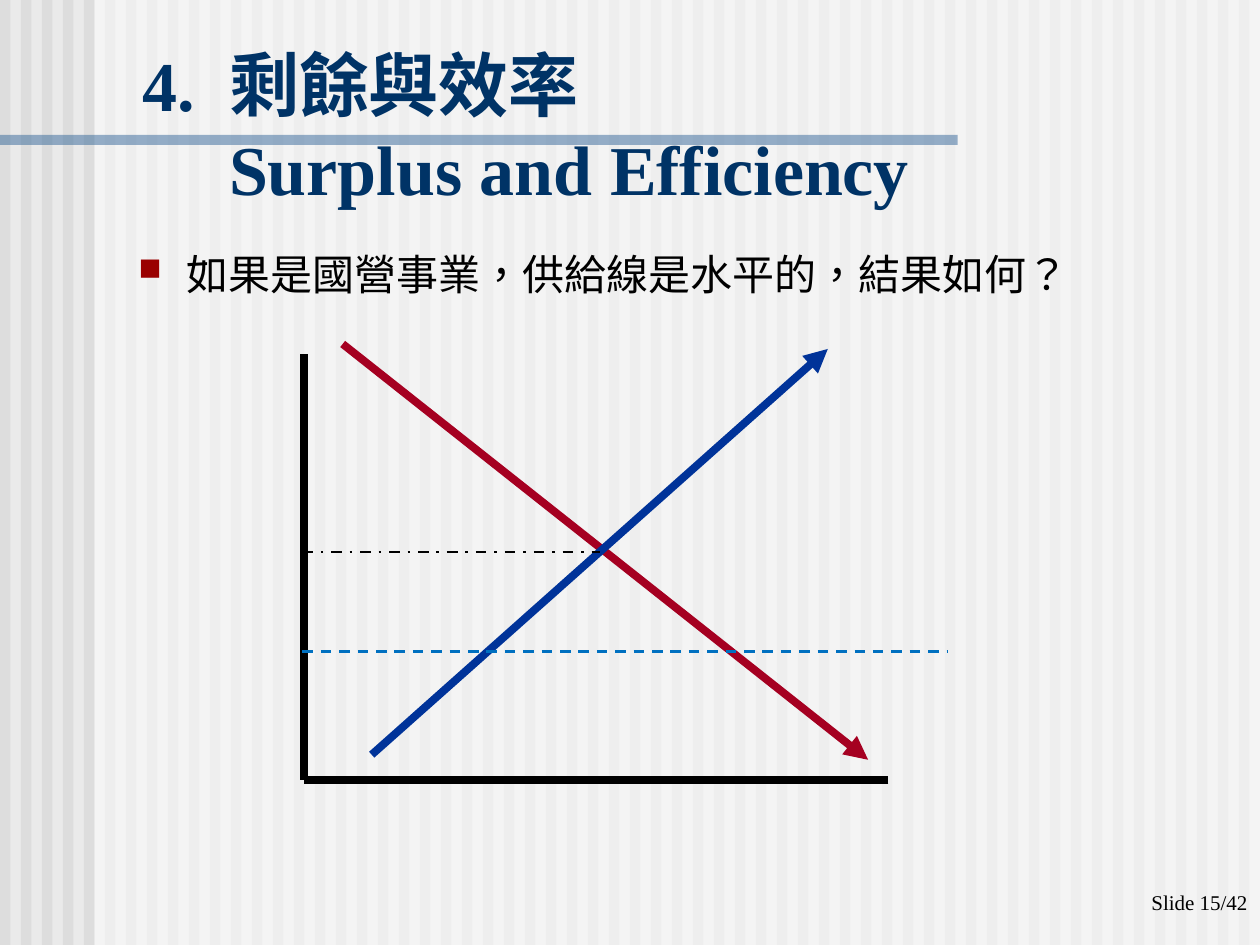
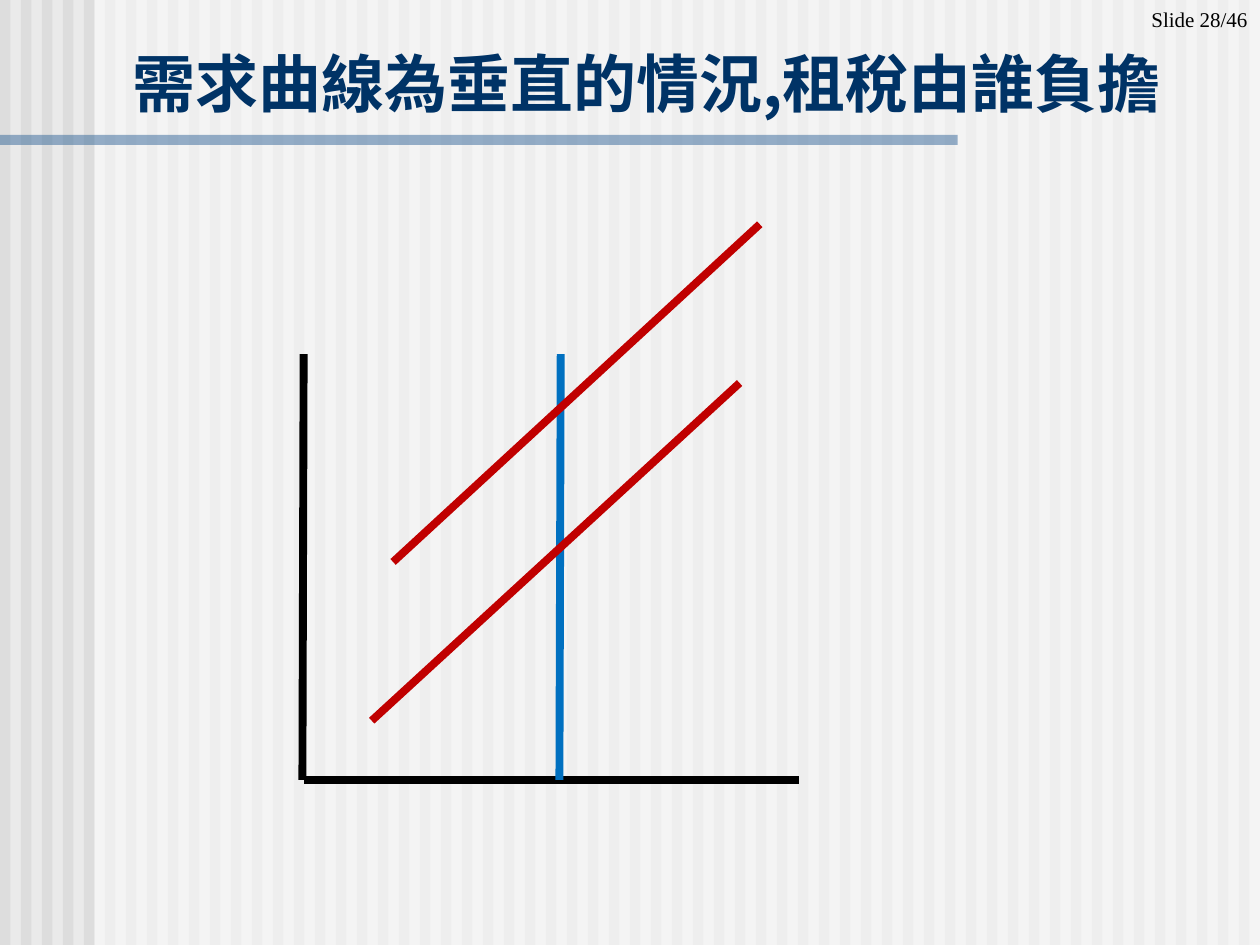
"""Build two economics slides: surplus and efficiency, and tax incidence."""
from lxml import etree
from pptx import Presentation
from pptx.dml.color import RGBColor
from pptx.enum.dml import MSO_LINE
from pptx.enum.shapes import MSO_CONNECTOR, MSO_SHAPE
from pptx.enum.text import MSO_ANCHOR, MSO_AUTO_SIZE, PP_ALIGN
from pptx.oxml.ns import qn
from pptx.util import Inches, Pt

BACKGROUND = RGBColor(0xEA, 0xEA, 0xEA)
STRIPE = RGBColor(0xDD, 0xDD, 0xDD)
WHITE = RGBColor(0xFF, 0xFF, 0xFF)
BAND = RGBColor(0x33, 0x66, 0x99)
NAVY = RGBColor(0x00, 0x33, 0x66)
BLACK = RGBColor(0x00, 0x00, 0x00)
CRIMSON = RGBColor(0xA5, 0x00, 0x21)
RED = RGBColor(0xC0, 0x00, 0x00)
BLUE = RGBColor(0x00, 0x33, 0x99)
SKY = RGBColor(0x00, 0x70, 0xC0)
BULLET = "9A0000"
LATIN, CJK = "Times New Roman", "Noto Sans CJK SC"
RECT, STRAIGHT = MSO_SHAPE.RECTANGLE, MSO_CONNECTOR.STRAIGHT
DASH, DASH_DOT = MSO_LINE.DASH, MSO_LINE.DASH_DOT
BOTTOM, RIGHT = MSO_ANCHOR.BOTTOM, PP_ALIGN.RIGHT
GROW, FIXED = MSO_AUTO_SIZE.SHAPE_TO_FIT_TEXT, MSO_AUTO_SIZE.NONE

prs = Presentation()
prs.slide_width, prs.slide_height = Inches(10), Inches(7.5)
CELL = prs.slide_width // 100
COLS, ROWS, STRIPES = 100, 75, 60
PITCH = COLS / STRIPES


def add_bar(s, box, color, alpha=None):
    """Add a plain rectangle, with box given in grid cells."""
    bar = s.shapes.add_shape(RECT, *[round(v * CELL) for v in box])
    bar.shadow.inherit = False
    bar.fill.solid()
    bar.fill.fore_color.rgb = color
    bar.line.fill.background()
    if alpha:
        clr = bar.fill._xPr.find(".//" + qn("a:srgbClr"))
        etree.SubElement(clr, qn("a:alpha"), val=str(alpha * 1000))


def add_text(s, box, text, font, anchor=MSO_ANCHOR.TOP, auto_size=FIXED, align=None):
    """Add a one-paragraph text box, with box given in grid cells."""
    tf = s.shapes.add_textbox(*[round(v * CELL) for v in box]).text_frame
    for name, value in {"word_wrap": True, "vertical_anchor": anchor,
                        "auto_size": auto_size}.items():
        setattr(tf, name, value)
    p = tf.paragraphs[0]
    p.text = text
    p.alignment = align
    for r in p.runs:
        r.font.color.rgb = font["color"]
        for name in ("name", "size", "bold"):
            setattr(r.font, name, font[name])
        rPr = r.font._element
        rPr.set("lang", "zh-TW")
        etree.SubElement(rPr, qn("a:ea"), typeface=CJK)
    return p


FOOTER = {"name": LATIN, "size": Pt(12), "bold": False, "color": BLACK}
BODY = {"name": CJK, "size": Pt(24), "bold": False, "color": BLACK}
TITLE = {"name": LATIN, "size": Pt(40), "bold": True, "color": NAVY}

SLIDES = [
    {"title": "4.\t剩餘與效率\vSurplus and Efficiency",
     "title_box": (10.3, 2.6, 89.3, 14.5),
     "title_font": TITLE,
     "title_indent": 0.69,
     "body": "如果是國營事業，供給線是水平的，結果如何？",
     "number": "Slide 15/42",
     "number_row": 70.1,
     "lines": [
         (24.1, 28.1, 24.1, 61.9, BLACK, 4.5, None, False),
         (70.5, 61.9, 24.1, 61.9, BLACK, 4.5, None, False),
         (27.2, 27.3, 68.9, 60.3, CRIMSON, 4.5, None, True),
         (29.5, 59.9, 65.7, 27.7, BLUE, 4.5, None, True),
         (24, 51.7, 75.2, 51.7, SKY, 1.5, DASH, False),
         (24, 43.8, 47.6, 43.8, BLACK, 1.5, DASH_DOT, False)]},
    {"title": "需求曲線為垂直的情況,租稅由誰負擔",
     "title_box": (9.5, 2.9, 89.3, 7.1),
     "title_font": {**TITLE, "name": CJK, "size": Pt(36)},
     "title_indent": 0,
     "body": None,
     "number": "Slide 28/46",
     "number_row": 0,
     "lines": [
         (24.1, 28.1, 24, 61.9, BLACK, 4.5, None, False),
         (63.4, 61.9, 24.1, 61.9, BLACK, 4.5, None, False),
         (44.5, 28.1, 44.4, 61.9, SKY, 4.5, None, False),
         (58.7, 30.4, 29.5, 57.2, RED, 4.5, None, False),
         (60.3, 17.8, 31.2, 44.6, RED, 4.5, None, False)]},
]

for page in SLIDES:
    s = prs.slides.add_slide(prs.slide_layouts[6])
    s.background.fill.solid()
    s.background.fill.fore_color.rgb = BACKGROUND
    for i in range(STRIPES):
        add_bar(s, (i * PITCH, 0, PITCH / 2, ROWS), STRIPE)
    add_bar(s, (7.5, 0, COLS - 7.5, ROWS), WHITE, 50)
    add_bar(s, (0, 10.7, 76, 0.8), BAND, 50)

    if page["body"]:
        p = add_text(s, (10, 19.2, 88.7, 45.8), page["body"], BODY)
        pPr = p._p.get_or_add_pPr()
        pPr.set("marL", str(Inches(0.38)))
        pPr.set("indent", str(-Inches(0.38)))
        clr = etree.SubElement(pPr, qn("a:buClr"))
        etree.SubElement(clr, qn("a:srgbClr"), val=BULLET)
        etree.SubElement(pPr, qn("a:buSzPct"), val="75000")
        etree.SubElement(pPr, qn("a:buChar"), char="■")

    add_text(s, (79.2, page["number_row"], 20.8, 5), page["number"], FOOTER, align=RIGHT)

    p = add_text(s, page["title_box"], page["title"], page["title_font"], BOTTOM, GROW)
    if page["title_indent"]:
        indent = Inches(page["title_indent"])
        pPr = p._p.get_or_add_pPr()
        pPr.set("marL", str(indent))
        pPr.set("indent", str(-indent))

    for x1, y1, x2, y2, color, width, dash, arrow in page["lines"]:
        c = s.shapes.add_connector(STRAIGHT, *[round(v * CELL) for v in (x1, y1, x2, y2)])
        c.line.color.rgb = color
        c.line.width = Pt(width)
        if dash:
            c.line.dash_style = dash
        if arrow:
            etree.SubElement(c.line._ln, qn("a:tailEnd"), type="triangle")
        etree.SubElement(c._element.spPr, qn("a:effectLst"))

prs.save("out.pptx")
